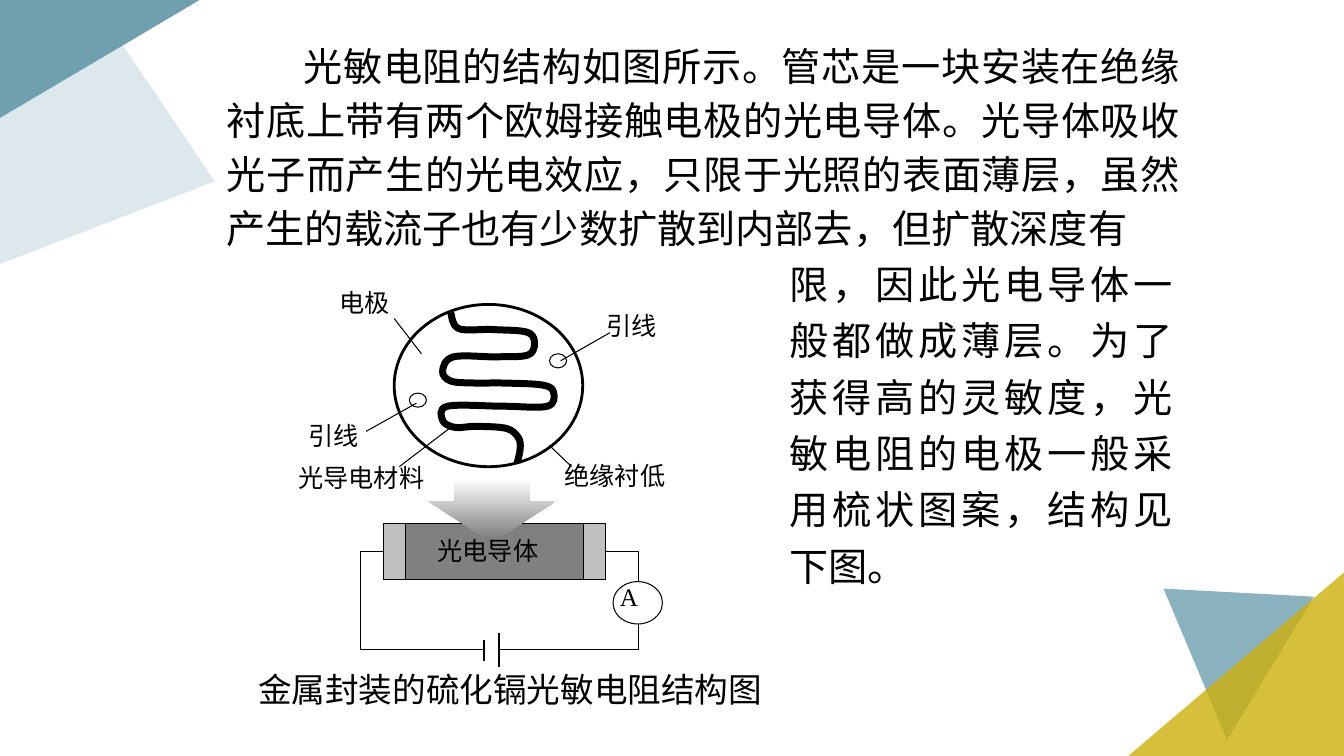
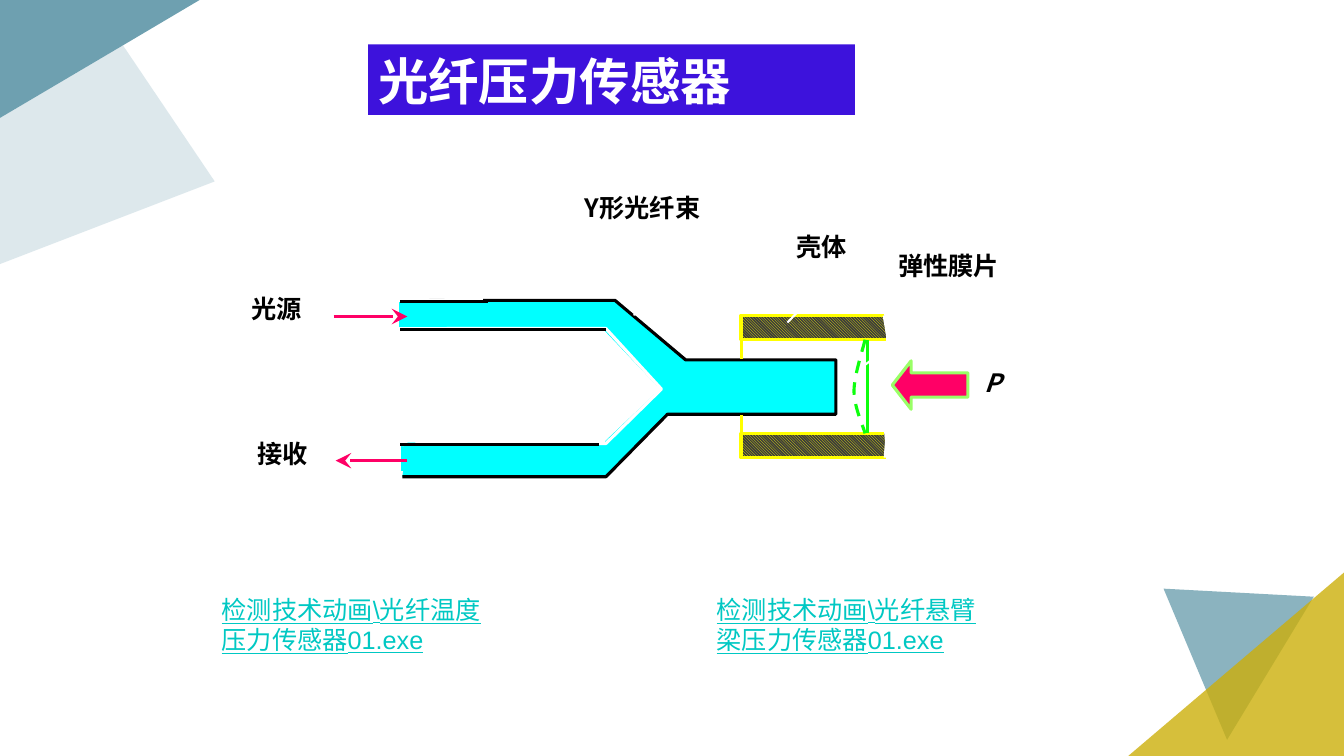
from dataclasses import dataclass
from typing import Any

from lxml.etree import SubElement
from pptx import Presentation
from pptx.dml.color import RGBColor
from pptx.enum.dml import MSO_LINE, MSO_PATTERN
from pptx.enum.shapes import MSO_CONNECTOR, MSO_SHAPE
from pptx.enum.text import MSO_ANCHOR, MSO_AUTO_SIZE, PP_ALIGN
from pptx.oxml.ns import qn
from pptx.util import Inches, Pt

COLORS = {
    "teal": "6EA0B0", "mist": "A8C6D0", "gold": "CCAF0A",
    "black": "000000", "white": "FFFFFF", "gray": "808080",
    "silver": "C0C0C0", "shade": "767676", "hatch": "3B3B3B",
    "title": "3D12DC", "cyan": "00FFFF", "yellow": "FFFF00",
    "green": "0DFF0D", "pink": "FF0066", "lime": "99FF66", "link": "00C8C3",
}
SERIF, SANS, CJK = "Times New Roman", "Arial", "Noto Sans CJK SC"
LEADING = 1.2


def rgb(name):
    return RGBColor.from_string(COLORS[name])


def write(frame, text, size=18, font=SERIF, color="black", align=PP_ALIGN.JUSTIFY,
          spacing=1.0, first_indent=0, **styles):
    """Fill a text frame with one formatted paragraph."""
    frame.word_wrap = True
    para = frame.paragraphs[0]
    para.alignment = align
    para.line_spacing = Pt(round(size * LEADING * spacing, 1))
    if first_indent:
        properties = para._p.get_or_add_pPr()
        properties.set("marL", "0")
        properties.set("indent", str(Inches(first_indent)))
    span = para.add_run()
    span.text = text
    formats = {"name": font, "size": Pt(size), "bold": False, **styles}
    for name, value in formats.items():
        setattr(span.font, name, value)
    span.font.color.rgb = rgb(color)
    SubElement(span._r.get_or_add_rPr(), qn("a:ea")).set("typeface", CJK)


def paint(shape, fill=None, line=None, weight=0.75, alpha=None):
    shape.shadow.inherit = False
    if fill:
        shape.fill.solid()
        shape.fill.fore_color.rgb = rgb(fill)
    else:
        shape.fill.background()
    if alpha:
        color = shape.fill._xPr.find(".//" + qn("a:srgbClr"))
        SubElement(color, qn("a:alpha")).set("val", str(alpha * 1000))
    if line:
        shape.line.color.rgb = rgb(line)
        shape.line.width = Pt(weight)
    else:
        shape.line.fill.background()


def smooth(shape):
    """Turn the straight segments of a freeform into one flowing curve."""
    outline = shape._element.find(".//" + qn("a:path"))
    points = [(int(pt.get("x")), int(pt.get("y"))) for pt in outline.iter(qn("a:pt"))]
    for segment in outline.findall(qn("a:lnTo")):
        outline.remove(segment)
    padded = [points[0], *points, points[-1]]
    for before, start, end, after in zip(padded, padded[1:], padded[2:], padded[3:]):
        leave = [s + (e - b) / 6 for b, s, e in zip(before, start, end)]
        arrive = [e - (a - s) / 6 for s, e, a in zip(start, end, after)]
        curve = SubElement(outline, qn("a:cubicBezTo"))
        for x, y in (leave, arrive, end):
            SubElement(curve, qn("a:pt"), x=str(round(x)), y=str(round(y)))


@dataclass
class Region:
    """A part of a page; lengths are inches from its top left corner."""
    page: Any
    left: float = 0
    top: float = 0

    def place(self, x, y):
        return Inches(self.left + x), Inches(self.top + y)

    def text(self, text, x, y, width, height, inset=True, **formats):
        box = self.page.shapes.add_textbox(
            *self.place(x, y), Inches(width), Inches(height))
        if not inset:
            for side in ("left", "top", "right", "bottom"):
                setattr(box.text_frame, f"margin_{side}", 0)
        write(box.text_frame, text, **formats)

    def shape(self, kind, x, y, width, height, *style, adjust=()):
        shape = self.page.shapes.add_shape(
            kind, *self.place(x, y), Inches(width), Inches(height))
        for index, value in enumerate(adjust):
            shape.adjustments[index] = value
        paint(shape, *style)
        return shape

    def outline(self, points, *style, close=False, **options):
        start, *rest = [self.place(x, y) for x, y in points]
        builder = self.page.shapes.build_freeform(*start, scale=1.0)
        builder.add_line_segments(rest, close=close)
        shape = builder.convert_to_shape()
        paint(shape, *style, **options)
        return shape

    def line(self, x1, y1, x2, y2, color="black", weight=0.75, arrow=False):
        line = self.page.shapes.add_connector(
            MSO_CONNECTOR.STRAIGHT, *self.place(x1, y1), *self.place(x2, y2))
        line.line.color.rgb = rgb(color)
        line.line.width = Pt(weight)
        if arrow:
            SubElement(line.line._get_or_add_ln(), qn("a:tailEnd"),
                       type="stealth", w="lg", len="lg")
        SubElement(line._element.spPr, qn("a:effectLst"))


def decorate_master(deck, page):
    """Draw the corner triangles and move them to the slide master."""
    region = Region(page)
    corners = [
        ([(13.03, 5.92), (12.17, 7.34), (11.54, 5.84)], "teal", 80),
        ([(13.33, 7.5), (11.19, 7.5), (13.33, 5.68)], "gold", 80),
        ([(0, 2.62), (2.13, 1.8), (1.22, 0.45), (0, 1.17)], "mist", 39),
        ([(0, 0), (0, 1.17), (1.22, 0.45), (1.98, 0)], "teal", None),
    ]
    tree = deck.slide_master.shapes.element
    for index, (points, color, alpha) in enumerate(corners):
        corner = region.outline(points, color, close=True, alpha=alpha)
        tree.insert(2 + index, corner._element)


def draw_cell(region):
    """Top view of the photoresistor with its labels."""
    region.shape(MSO_SHAPE.OVAL, 1.01, 0.22, 1.87, 1.61, "white", "black", 2)
    track = [
        (1.57, 0.3), (1.65, 0.46), (2, 0.47), (2.36, 0.51), (2.36, 0.71),
        (2.04, 0.74), (1.6, 0.74), (1.49, 0.88), (1.57, 0.98), (1.81, 1),
        (2.09, 1), (2.48, 1.02), (2.59, 1.09), (2.53, 1.23), (2.09, 1.23),
        (1.54, 1.23), (1.49, 1.37), (1.61, 1.44), (1.82, 1.43), (2.12, 1.45),
        (2.24, 1.54), (2.26, 1.65), (2.23, 1.79),
    ]
    smooth(region.outline(track, None, "black", 5))
    for text, x, y, width in [
        ("光导电材料", -0.04, 1.74, 1.81), ("绝缘衬低", 2.6, 1.72, 1.54),
        ("引线", 3.02, 0.23, 1.04), ("电极", 0.37, 0, 1.04), ("引线", 0.06, 1.32, 1.04),
    ]:
        region.text(text, x, y, width, 0.49)
    for x, y in [(1.16, 1.1), (2.55, 0.71)]:
        region.shape(MSO_SHAPE.OVAL, x, y, 0.17, 0.14, "white", "black")
    for leader in [
        (0.73, 1.48, 1.23, 1.2), (2.66, 0.78, 3.15, 0.5), (1.28, 0.71, 1.01, 0.36),
        (1.61, 1.41, 1.06, 1.83), (2.55, 1.62, 2.77, 1.83),
    ]:
        region.line(*leader)


def draw_circuit(region):
    """Photoconductor in series with a battery and an ammeter."""
    region.shape(MSO_SHAPE.RECTANGLE, 0, 0.72, 2.75, 0.97, "white", "black")
    region.shape(MSO_SHAPE.RECTANGLE, 0.23, 0.44, 2.2, 0.56, "gray", "black")
    light = region.shape(MSO_SHAPE.DOWN_ARROW, 0.67, 0, 1.26, 0.63,
                         adjust=(0.594, 0.642))
    light.fill.gradient()
    light.fill.gradient_angle = 270
    for stop, color, position in zip(light.fill.gradient_stops, ("white", "shade"), (0, 1)):
        stop.color.rgb = rgb(color)
        stop.position = position
    for x in (0.22, 2.21):
        region.shape(MSO_SHAPE.RECTANGLE, x, 0.44, 0.22, 0.56, "silver", "black")
    region.shape(MSO_SHAPE.RECTANGLE, 1.21, 1.55, 0.17, 0.28, "white")
    for x, top, bottom in [(1.22, 1.6, 1.81), (1.37, 1.6, 1.81), (1.37, 1.53, 1.87)]:
        region.line(x, top, x, bottom, weight=1.25)
    region.shape(MSO_SHAPE.OVAL, 2.5, 1.02, 0.49, 0.42, "white", "black")
    region.text("A", 2.47, 0.97, 0.59, 0.49)
    region.text("光电导体", 0.66, 0.51, 1.81, 0.49)


def draw_fiber_labels(region):
    for text, x, y, width in [
        ("光源", 0.09, 1.01, 1.42), ("接收", 0.15, 2.45, 1.07), ("Y形光纤束", 3.4, 0.01, 1.89),
        ("壳体", 5.5, 0.39, 0.97), ("弹性膜片", 6.51, 0.58, 1.6),
    ]:
        region.text(text, x, y, width, 0.6, inset=False, font=CJK, bold=True)
    region.text("P", 7.36, 1.74, 0.6, 0.6, inset=False, font=CJK, bold=True, italic=True)


def draw_fiber_sensor(region):
    """Y-shaped fibre bundle facing a membrane inside a shell."""
    for x, y in [(1.58, 2.51), (1.56, 1.1)]:
        region.shape(MSO_SHAPE.RECTANGLE, x, y, 0.39, 0.26, "cyan", "cyan")
    draw_fiber_labels(region)
    for y in (1.23, 2.4):
        wall = region.outline([(6.37, y), (4.95, y), (4.95, y + 0.24), (6.39, y + 0.24)],
                              None, "yellow", 2.25)
        wall.fill.patterned()
        wall.fill.pattern = MSO_PATTERN.DARK_DOWNWARD_DIAGONAL
        wall.fill.fore_color.rgb = rgb("yellow")
        wall.fill.back_color.rgb = rgb("hatch")
    region.line(6.2, 1.47, 6.2, 2.4, "green", 2.25)
    region.outline([(1.86, 1.08), (3.7, 1.08), (4.4, 1.67), (5.89, 1.67), (5.89, 2.21),
                    (4.22, 2.21), (3.61, 2.83), (1.59, 2.83)], "cyan", "black", 2.25)
    region.outline([(2.03, 1.36), (3.61, 1.36), (4.16, 1.96), (3.61, 2.5), (1.72, 2.5)],
                   None, "white", 2.25)
    bulge = region.outline([(6.18, 1.47), (6.07, 1.98), (6.18, 2.4)], None, "green", 2.25)
    bulge.line.dash_style = MSO_LINE.DASH
    smooth(bulge)
    for ends, color, weight in [
        ((6.37, 1.23, 6.41, 1.46), "white", 2.25),
        ((6.4, 2.4, 6.38, 2.64), "white", 2.25),
        ((4.11, 0.51, 3.89, 1.23), "white", 1.5),
        ((5.81, 0.88, 5.41, 1.3), "white", 1.5),
        ((6.95, 1.13, 6.14, 1.75), "white", 1.5),
        ((1.91, 2.5, 1.58, 2.51), "white", 2.25),
        ((2.39, 1.36, 1.56, 1.36), "white", 2.25),
        ((2.39, 1.07, 1.56, 1.08), "white", 2.25),
        ((4.95, 1.29, 4.95, 1.66), "yellow", 2.25),
        ((4.95, 2.22, 4.95, 2.59), "yellow", 2.25),
    ]:
        region.line(*ends, color, weight)
    for ends in [(0.91, 1.24, 1.64, 1.24), (1.64, 2.67, 0.93, 2.67)]:
        region.line(*ends, "pink", 2.25, arrow=True)
    region.shape(MSO_SHAPE.LEFT_ARROW, 6.45, 1.68, 0.75, 0.48, "pink", "lime", 2.25,
                 adjust=(0.5, 0.389))
    region.shape(MSO_SHAPE.RECTANGLE, 1.55, 1.38, 2.05, 1.11, "white")
    notch = region.shape(MSO_SHAPE.RIGHT_TRIANGLE, 3.19, 1.55, 0.79, 0.79, "white")
    notch.rotation = 226.5
    for x, y, end in [(1.57, 1.37, 3.61), (1.57, 2.51, 3.54), (1.57, 1.09, 2.44)]:
        region.line(x, y, end, y, weight=2)


def place_title(page, text, left, top, width, height):
    title = page.shapes.title
    for name, value in zip(("left", "top", "width", "height"), (left, top, width, height)):
        setattr(title, name, Inches(value))
    title.fill.solid()
    title.fill.fore_color.rgb = rgb("title")
    title.text_frame.auto_size = MSO_AUTO_SIZE.NONE
    title.text_frame.vertical_anchor = MSO_ANCHOR.MIDDLE
    write(title.text_frame, text, size=36, color="white", align=PP_ALIGN.LEFT,
          spacing=1.02, bold=True)


def fill_resistor_page(page):
    region = Region(page)
    region.text("光敏电阻的结构如图所示。管芯是一块安装在绝缘衬底上带有两个欧姆接触电极的光电导体。"
                "光导体吸收光子而产生的光电效应，只限于光照的表面薄层，虽然产生的载流子也有少数"
                "扩散到内部去，但扩散深度有", 2.15, 0.3, 9.66, 2.25,
                size=28, spacing=1.15, first_indent=0.76)
    draw_circuit(Region(page, 3.58, 4.75))
    draw_cell(Region(page, 2.9, 2.8))
    region.text("金属封装的硫化镉光敏电阻结构图", 2.31, 6.59, 5.5, 0.6,
                size=24, align=PP_ALIGN.CENTER)
    region.text("限，因此光电导体一般都做成薄层。为了获得高的灵敏度，光敏电阻的电极一般采用"
                "梳状图案，结构见下图。", 7.73, 2.44, 4, 3.47, size=28, spacing=1.2)


def fill_fiber_page(page):
    place_title(page, "光纤压力传感器", 3.65, 0.44, 4.83, 0.7)
    draw_fiber_sensor(Region(page, 2.4, 1.9))
    for text, left, width in [
        ("检测技术动画\\光纤温度压力传感器01.exe", 2.1, 2.96),
        ("检测技术动画\\光纤悬臂梁压力传感器01.exe", 7.01, 2.86),
    ]:
        Region(page).text(text, left, 5.85, width, 0.71, font=SANS, color="link",
                          align=PP_ALIGN.LEFT, spacing=0.99, underline=True)


def main():
    deck = Presentation()
    deck.slide_width, deck.slide_height = Inches(13.33), Inches(7.5)
    title_only, blank = deck.slide_layouts[5], deck.slide_layouts[6]
    resistor_page = deck.slides.add_slide(blank)
    decorate_master(deck, resistor_page)
    fill_resistor_page(resistor_page)
    fill_fiber_page(deck.slides.add_slide(title_only))
    deck.save("out.pptx")


if __name__ == "__main__":
    main()
